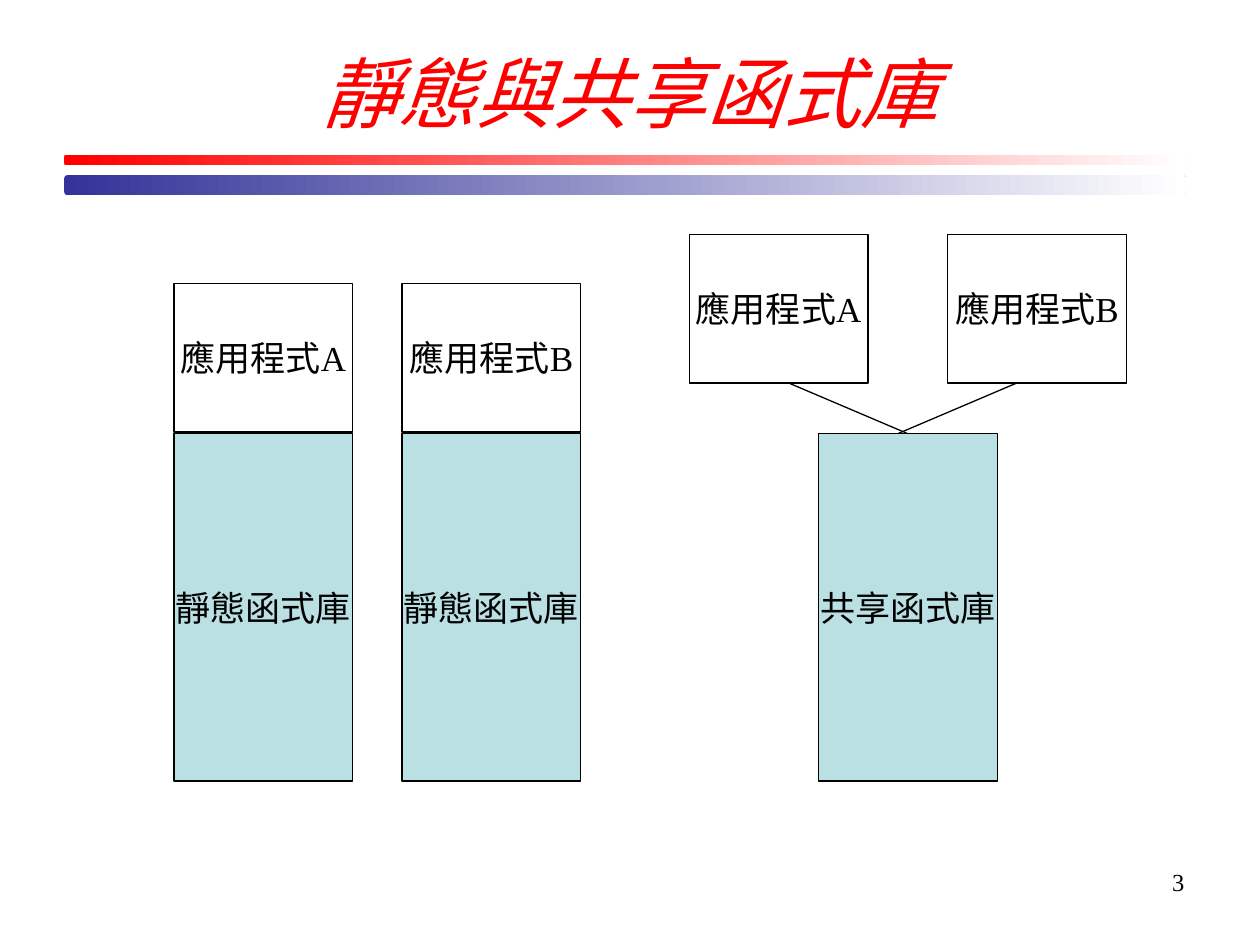
import pptx
import pptx.util
import pptx.dml.color
import pptx.enum.shapes
import pptx.enum.text
import lxml.etree

COLUMNS, ROWS = 100, 75
BLOCK_WIDTH, APP_HEIGHT, LIBRARY_HEIGHT = 14.2, 11.8, 27.6
BLACK, RED, BLUE, TEAL, WHITE = "000000", "FF0000", "333399", "BBE0E3", "FFFFFF"
SERIF, SANS = "Times New Roman", "Arial"
ALIGN = pptx.enum.text.PP_ALIGN
ANCHOR = pptx.enum.text.MSO_ANCHOR
SHAPE = pptx.enum.shapes.MSO_SHAPE

deck = pptx.Presentation()
deck.slide_width = pptx.util.Inches(10)
deck.slide_height = pptx.util.Inches(7.5)


def color(value):
    return pptx.dml.color.RGBColor.from_string(value)


def across(columns):
    return round(deck.slide_width * columns / COLUMNS)


def down(rows):
    return round(deck.slide_height * rows / ROWS)


def measure(box):
    left, top, width, height = box
    return across(left), down(top), across(width), down(height)


def write(shape, text, size=20, font=SERIF, fill=BLACK, italic=False,
          align=ALIGN.CENTER, anchor=ANCHOR.MIDDLE, wrap=True):
    frame = shape.text_frame
    frame.auto_size = pptx.enum.text.MSO_AUTO_SIZE.NONE
    frame.word_wrap = wrap
    frame.vertical_anchor = anchor
    para = frame.paragraphs[0]
    para.alignment = align
    span = para.add_run()
    span.text = text
    span.font.size = pptx.util.Pt(size)
    span.font.name = font
    span.font.italic = italic
    span.font.color.rgb = color(fill)


def add_bar(page, box, fill):
    bar = page.shapes.add_shape(SHAPE.ROUNDED_RECTANGLE, *measure(box))
    bar.shadow.inherit = False
    bar.line.fill.background()
    bar.fill.gradient()
    bar.fill.gradient_angle = 0
    for stop, value, position in zip(bar.fill.gradient_stops, (fill, WHITE), (0, 1)):
        stop.color.rgb = color(value)
        stop.position = position


def add_block(page, box, text, font=SERIF, fill=None):
    block = page.shapes.add_shape(SHAPE.RECTANGLE, *measure(box))
    block.shadow.inherit = False
    if fill:
        block.fill.solid()
        block.fill.fore_color.rgb = color(fill)
    else:
        block.fill.background()
    block.line.color.rgb = color(BLACK)
    block.line.width = pptx.util.Pt(0.75)
    write(block, text, font=font, wrap=False)


def add_line(page, start, end):
    line = page.shapes.add_connector(
        pptx.enum.shapes.MSO_CONNECTOR.STRAIGHT,
        across(start[0]), down(start[1]), across(end[0]), down(end[1]))
    line.line.color.rgb = color(BLACK)
    line.line.width = pptx.util.Pt(0.75)
    properties = line._element.spPr
    lxml.etree.SubElement(properties, pptx.oxml.ns.qn("a:effectLst"))


def add_header(page, box):
    left, top, width, height = box
    title = page.shapes.title
    title.left, title.top, title.width, title.height = measure((left, top, width, 8.5))
    write(title, "靜態與共享函式庫", size=44, fill=RED, italic=True)
    add_bar(page, (left + 0.1, top + 9.3, width - 1, 0.8), RED)
    add_bar(page, (left + 0.1, top + height - 1.6, width - 1, 1.6), BLUE)


def add_static(page, box):
    left, top, width, height = box
    library_top = top + height - LIBRARY_HEIGHT
    for name, x in (("A", left), ("B", left + width - BLOCK_WIDTH)):
        add_block(page, (x, library_top, BLOCK_WIDTH, LIBRARY_HEIGHT),
                  "靜態函式庫", font=SANS, fill=TEAL)
        add_block(page, (x, top, BLOCK_WIDTH, APP_HEIGHT), f"應用程式{name}")


def add_shared(page, box):
    left, top, width, height = box
    library_top = top + height - LIBRARY_HEIGHT
    library_left = left + (width - BLOCK_WIDTH) / 2
    add_block(page, (library_left, library_top, BLOCK_WIDTH, LIBRARY_HEIGHT),
              "共享函式庫", font=SANS, fill=TEAL)
    for name, x in (("A", left), ("B", left + width - BLOCK_WIDTH)):
        add_block(page, (x, top, BLOCK_WIDTH, APP_HEIGHT), f"應用程式{name}")
    for start, end in ((7.9, 17.3), (26, 16.6)):
        add_line(page, (left + start, top + APP_HEIGHT), (left + end, library_top))


def add_number(page, box):
    number = page.shapes.add_textbox(*measure(box))
    write(number, "3", size=14, align=ALIGN.RIGHT, anchor=ANCHOR.TOP)


def main():
    page = deck.slides.add_slide(deck.slide_layouts[5])
    add_header(page, (5, 3, 90, 12.5))
    add_static(page, (13.8, 22.5, 32.3, 39.5))
    add_shared(page, (54.7, 18.6, 34.7, 43.4))
    add_number(page, (71.7, 68.3, 23.3, 5.2))
    deck.save("out.pptx")


if __name__ == "__main__":
    main()
